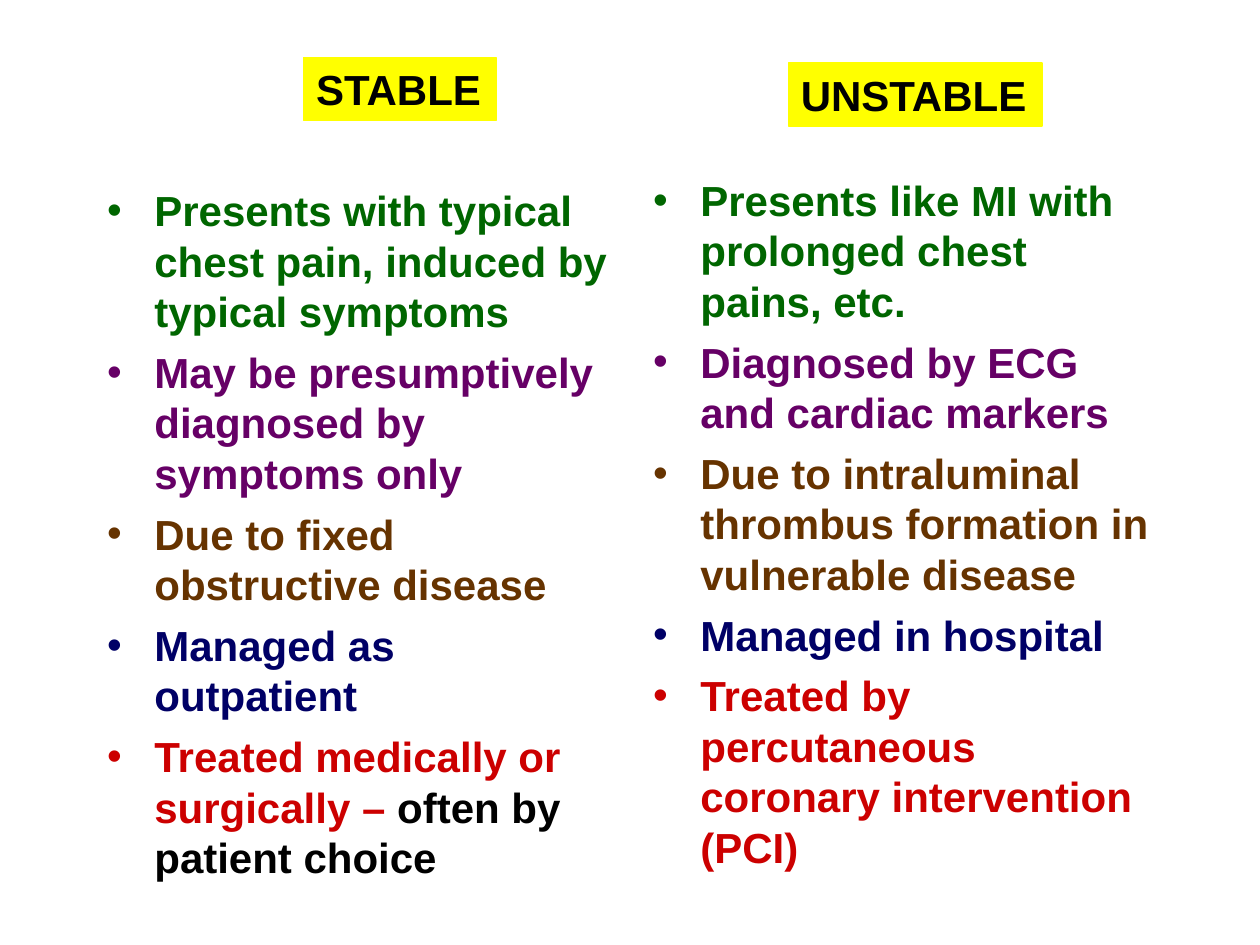
from dataclasses import dataclass

from lxml.etree import SubElement
from pptx import Presentation
from pptx.dml.color import RGBColor
from pptx.enum.shapes import MSO_SHAPE
from pptx.enum.text import MSO_ANCHOR, MSO_AUTO_SIZE, PP_ALIGN
from pptx.oxml.ns import qn
from pptx.util import Pt


@dataclass(frozen=True)
class Theme:
    font: str = "Arial"
    size: float = 24
    space_before: float = 6
    indent: float = 27
    text: str = "000000"
    highlight: str = "FFFF00"
    topics: tuple = ("006600", "660066", "663300", "000066", "CC0000")


class ComparisonSlide:
    def __init__(self, presentation, theme):
        self.theme = theme
        self.slide = presentation.slides.add_slide(presentation.slide_layouts[3])

    def place(self, shape, left, top, width, height):
        shape.left, shape.top = Pt(left), Pt(top)
        shape.width, shape.height = Pt(width), Pt(height)

    def format_run(self, run, color):
        run.font.name = self.theme.font
        run.font.size = Pt(self.theme.size)
        run.font.bold = True
        run.font.color.rgb = RGBColor.from_string(color)

    def add_heading(self, text, left, top, width, height):
        shape = self.slide.shapes.add_shape(
            MSO_SHAPE.RECTANGLE, Pt(left), Pt(top), Pt(width), Pt(height)
        )
        shape.shadow.inherit = False
        highlight = RGBColor.from_string(self.theme.highlight)
        shape.fill.solid()
        shape.fill.fore_color.rgb = highlight
        shape.line.color.rgb = highlight
        shape.line.width = Pt(0.75)
        text_frame = shape.text_frame
        text_frame.text = text
        text_frame.word_wrap = False
        text_frame.auto_size = MSO_AUTO_SIZE.SHAPE_TO_FIT_TEXT
        text_frame.vertical_anchor = MSO_ANCHOR.TOP
        paragraph = text_frame.paragraphs[0]
        paragraph.alignment = PP_ALIGN.LEFT
        self.format_run(paragraph.runs[0], self.theme.text)

    def add_bullet(self, paragraph, color):
        paragraph.space_before = Pt(self.theme.space_before)
        properties = paragraph._p.get_or_add_pPr()
        properties.set("marL", str(Pt(self.theme.indent)))
        properties.set("indent", str(-Pt(self.theme.indent)))
        bullet_color = SubElement(properties, qn("a:buClr"))
        SubElement(bullet_color, qn("a:srgbClr"), val=color)
        SubElement(properties, qn("a:buFont"), typeface=self.theme.font)
        SubElement(properties, qn("a:buChar"), char="•")

    def add_list(self, index, items, left, top, width, height):
        placeholder = self.slide.placeholders[index]
        self.place(placeholder, left, top, width, height)
        text_frame = placeholder.text_frame
        text_frame.text = "\n".join(items)
        text_frame.word_wrap = True
        text_frame.auto_size = MSO_AUTO_SIZE.NONE
        text_frame.vertical_anchor = MSO_ANCHOR.TOP
        for paragraph, color in zip(text_frame.paragraphs, self.theme.topics):
            self.add_bullet(paragraph, color)
            self.format_run(paragraph.runs[0], color)
        return text_frame

    def add_remark(self, paragraph, text):
        run = paragraph.add_run()
        run.text = text
        self.format_run(run, self.theme.text)

    def remove_title(self):
        title = self.slide.shapes.title.element
        title.getparent().remove(title)


STABLE_ITEMS = (
    "Presents with typical chest pain, induced by typical symptoms",
    "May be presumptively diagnosed by symptoms only",
    "Due to fixed obstructive disease",
    "Managed as outpatient",
    "Treated medically or surgically – ",
)
UNSTABLE_ITEMS = (
    "Presents like MI with prolonged chest pains, etc.",
    "Diagnosed by ECG and cardiac markers",
    "Due to intraluminal thrombus formation in vulnerable disease",
    "Managed in hospital",
    "Treated by percutaneous coronary intervention (PCI)",
)


def main():
    presentation = Presentation()
    presentation.slide_width, presentation.slide_height = Pt(720), Pt(540)
    comparison = ComparisonSlide(presentation, Theme())
    comparison.remove_title()
    stable_list = comparison.add_list(1, STABLE_ITEMS, 54, 102, 300.5, 420)
    comparison.add_remark(stable_list.paragraphs[-1], "often by patient choice")
    comparison.add_list(2, UNSTABLE_ITEMS, 366, 96, 300.5, 408)
    comparison.add_heading("STABLE", 173.5, 33, 110, 36)
    comparison.add_heading("UNSTABLE", 450.5, 36, 145, 36)
    presentation.save("out.pptx")


if __name__ == "__main__":
    main()
